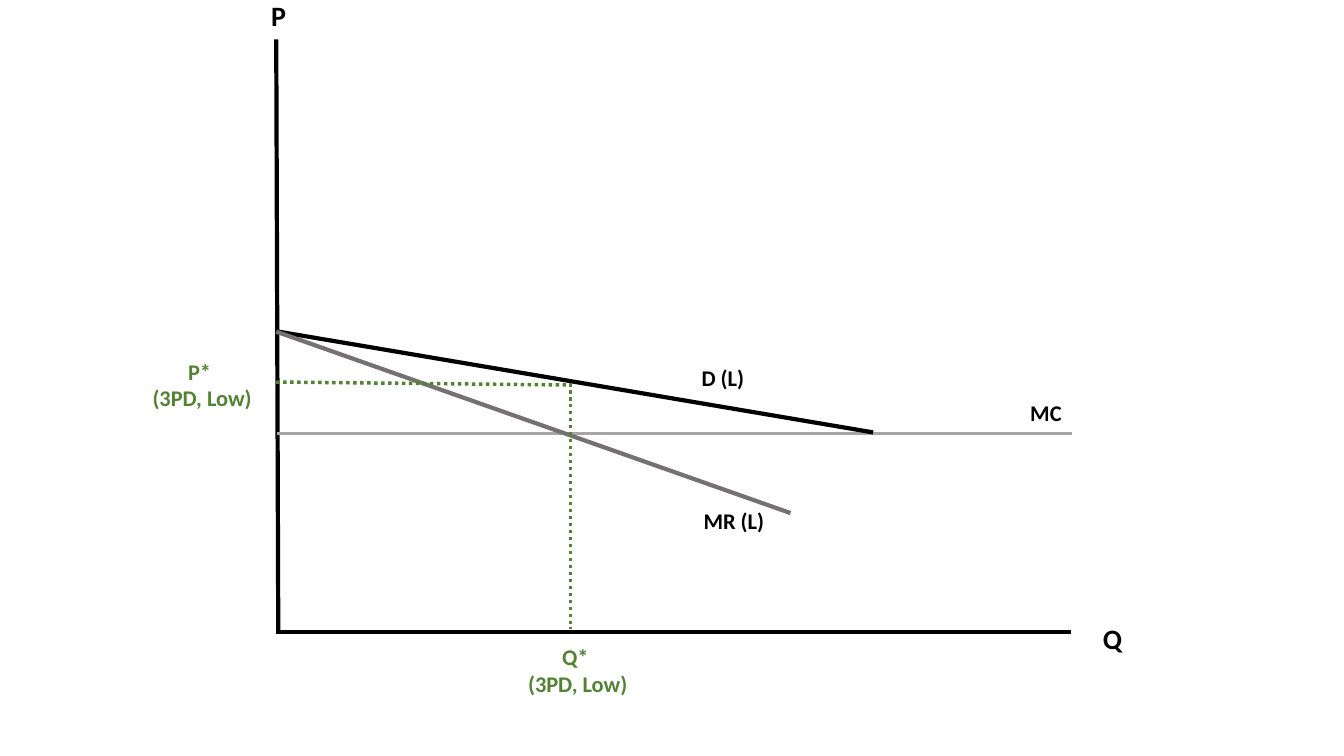
from pptx import Presentation
from pptx.dml.color import RGBColor
from pptx.enum.dml import MSO_LINE
from pptx.enum.shapes import MSO_CONNECTOR, MSO_SHAPE
from pptx.enum.text import MSO_ANCHOR, MSO_AUTO_SIZE, PP_ALIGN
from pptx.oxml.ns import qn
from pptx.util import Inches, Pt
from lxml.etree import SubElement

BLACK = RGBColor(0x00, 0x00, 0x00)
WHITE = RGBColor(0xFF, 0xFF, 0xFF)
LIGHT_GRAY = RGBColor(0xA6, 0xA6, 0xA6)
DARK_GRAY = RGBColor(0x76, 0x71, 0x71)
GREEN = RGBColor(0x54, 0x82, 0x35)


class Diagram:
    """Holds the slide and the style of its lines and labels."""
    font = "Calibri"

    def __init__(self, slide):
        self.shapes = slide.shapes

    def line(self, start, end, color=BLACK, width=3, dash=None):
        ends = [Inches(v) for v in (*start, *end)]
        connector = self.shapes.add_connector(MSO_CONNECTOR.STRAIGHT, *ends)
        connector.line.color.rgb = color
        connector.line.width = Pt(width)
        if dash:
            connector.line.dash_style = dash
        SubElement(connector._element.spPr, qn("a:effectLst"))

    def label(self, box, *rows, size=16, color=BLACK, align=PP_ALIGN.LEFT):
        self.add_rows(self.shapes.add_textbox(*map(Inches, box)),
                      rows, size, color, align)

    def filled_label(self, box, *rows, size=16, color=BLACK, fill=WHITE):
        panel = self.shapes.add_shape(MSO_SHAPE.RECTANGLE, *map(Inches, box))
        panel.shadow.inherit = False
        panel.fill.solid()
        panel.fill.fore_color.rgb = fill
        panel.line.fill.background()
        self.add_rows(panel, rows, size, color, PP_ALIGN.CENTER)

    def add_rows(self, holder, rows, size, color, align):
        frame = holder.text_frame
        frame.word_wrap = True
        frame.auto_size = MSO_AUTO_SIZE.SHAPE_TO_FIT_TEXT
        frame.vertical_anchor = MSO_ANCHOR.TOP
        for i, row in enumerate(rows):
            paragraph = frame.add_paragraph() if i else frame.paragraphs[0]
            paragraph.alignment = align
            run = paragraph.add_run()
            run.text = row
            run.font.name = self.font
            run.font.size = Pt(size)
            run.font.bold = True
            run.font.color.rgb = color


def main():
    prs = Presentation()
    prs.slide_width, prs.slide_height = Inches(13.33), Inches(7.5)
    diagram = Diagram(prs.slides.add_slide(prs.slide_layouts[6]))

    # Axes
    diagram.line((2.74, 0.39), (2.76, 6.27))
    diagram.line((10.62, 6.27), (2.74, 6.27))

    # Marginal cost, demand and marginal revenue
    diagram.line((2.75, 4.3), (10.63, 4.3), LIGHT_GRAY, 2.5)
    diagram.line((2.76, 3.29), (8.66, 4.29))
    diagram.line((2.74, 3.29), (7.84, 5.09), DARK_GRAY)

    # Guides to the chosen price and quantity
    optimum_q = 5.66
    for start, end in (((2.74, 3.79), (optimum_q, 3.82)),
                       ((optimum_q, 3.8), (optimum_q, 6.24))):
        diagram.line(start, end, GREEN, 2.5, MSO_LINE.ROUND_DOT)

    # Curve labels
    diagram.label((6.88, 4.98, 0.89, 0.37), "MR (L)")
    diagram.label((6.86, 3.56, 1, 0.37), "D (L)")
    diagram.label((10.12, 3.91, 0.6, 0.37), "MC")

    # Axis labels
    diagram.label((2.59, -0.06, 0.58, 0.44), "P", size=20)
    diagram.label((10.84, 6.12, 0.49, 0.44), "Q", size=20)

    # Optimum labels
    segment = "(3PD, Low)"
    diagram.label((5.04, 6.33, 1.38, 0.64), "Q* ", segment,
                  color=GREEN, align=PP_ALIGN.CENTER)
    diagram.filled_label((1.36, 3.5, 1.29, 0.64), "P* ", segment, color=GREEN)

    prs.save("out.pptx")


if __name__ == "__main__":
    main()
